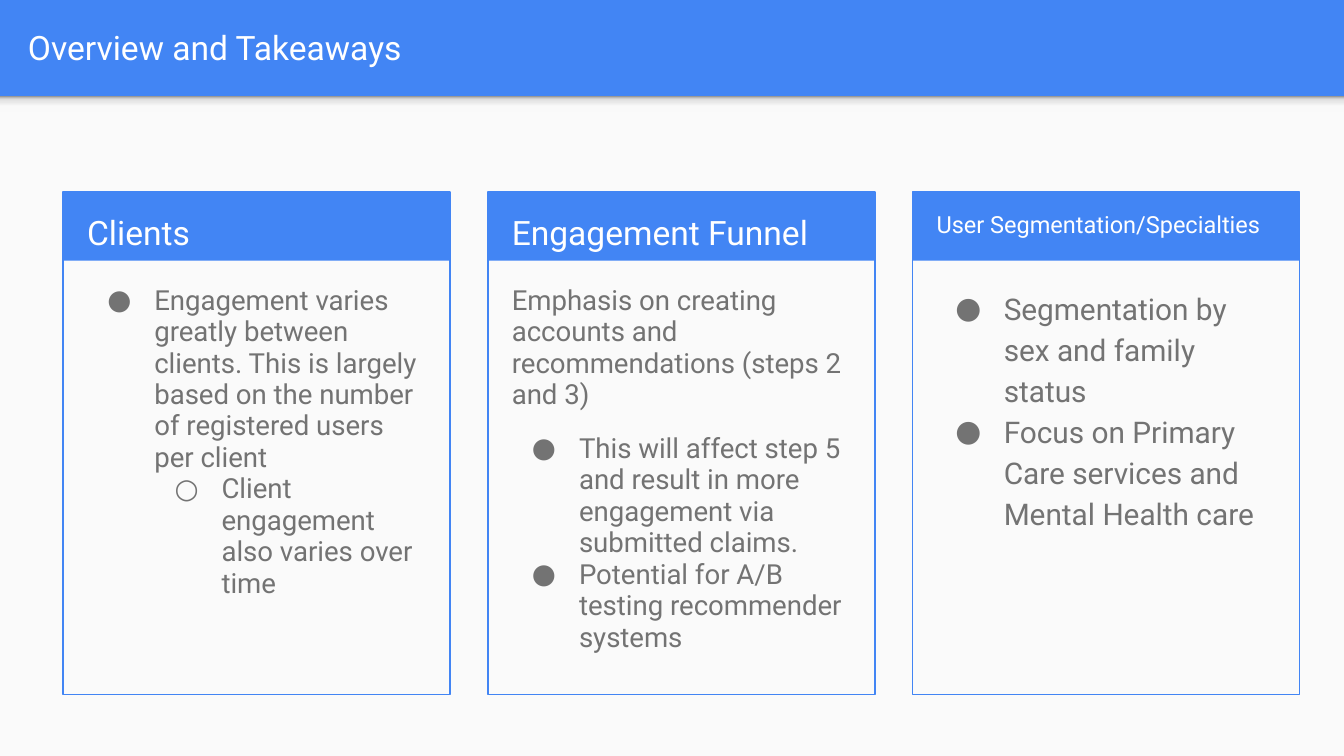
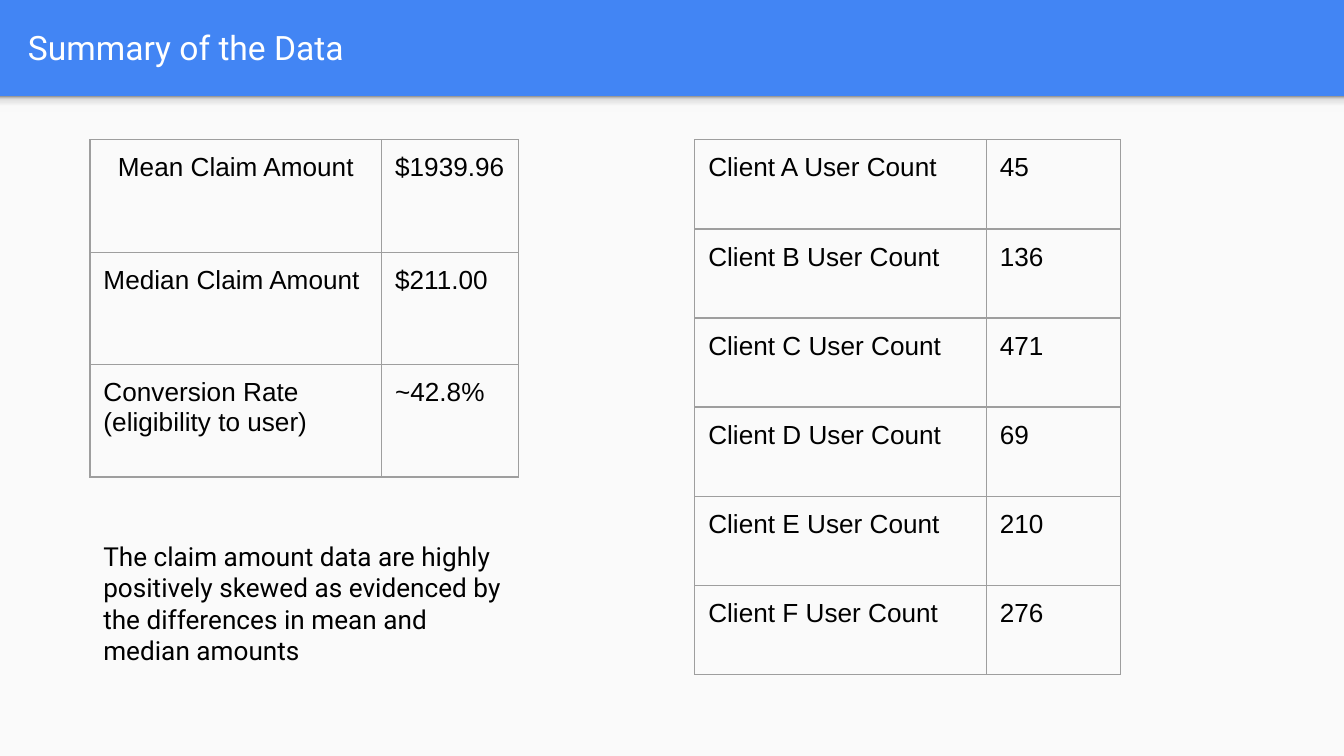
import copy

import pptx
import pptx.dml.color
import pptx.enum.shapes
import pptx.enum.text
import pptx.oxml.ns
import pptx.util
from lxml import etree

Inches = pptx.util.Inches
Pt = pptx.util.Pt
RGB = pptx.dml.color.RGBColor
Align = pptx.enum.text.PP_ALIGN
RECT = pptx.enum.shapes.MSO_SHAPE.RECTANGLE
qn = pptx.oxml.ns.qn

BLUE = RGB(0x42, 0x85, 0xF4)
PAPER = RGB(0xFA, 0xFA, 0xFA)
WHITE = RGB(0xFF, 0xFF, 0xFF)
GREY = RGB(0x73, 0x73, 0x73)
BLACK = RGB(0, 0, 0)
RULE = RGB(0x9E, 0x9E, 0x9E)
SHADE = [(0, "F9F9F9"), (0.36, "F9F9F9"), (0.8, "DEDEDE"), (1, "999999")]

WIDE = 10
HIGH = WIDE * 9 / 16
PANEL = 4.91
BAND = HIGH - PANEL
PAD = Inches(0.1)
INSETS = {"margin_" + side: PAD for side in ("left", "top", "right", "bottom")}

# Each line: text, bullet level (0 for none), space before
CARDS = [
    {"head": "Clients", "head_size": 18, "size": 14.8, "gap": 0.95, "hang": 0.35,
     "lines": [
         ("Engagement varies greatly between clients. This is largely based on "
          "the number of registered users per client", 1, 0),
         ("Client engagement also varies over time", 2, 0)]},
    {"head": "Engagement Funnel", "head_size": 18, "size": 14.8, "gap": 0.95, "hang": 0.35,
     "lines": [
         ("Emphasis on creating accounts and recommendations (steps 2 and 3)", 0, 0),
         ("This will affect step 5 and result in more engagement via submitted "
          "claims.", 1, 12),
         ("Potential for A/B testing recommender systems", 1, 0)]},
    {"head": "User Segmentation/Specialties", "head_size": 12.6, "size": 16, "gap": 1.15,
     "hang": 0.36,
     "lines": [
         ("Segmentation by sex and family status", 1, 0),
         ("Focus on Primary Care services and Mental Health care", 1, 0)]},
]
CLAIMS = [
    ("Mean Claim Amount", "$1939.96"),
    ("Median Claim Amount", "$211.00"),
    ("Conversion Rate\n(eligibility to user)", "~42.8%"),
]
COUNTS = [(f"Client {name} User Count", str(count))
          for name, count in zip("ABCDEF", (45, 136, 471, 69, 210, 276))]
NOTE = ("The claim amount data are highly positively skewed as evidenced by "
        "the differences in mean and median amounts")


def put(item, values):
    for key, value in values.items():
        setattr(item, key, value)


def style(para, size, color, face="Roboto"):
    for run in para.runs:
        put(run.font, {"size": Pt(size), "name": face})
        run.font.color.rgb = color


def dot(para, level, hang):
    """Give a paragraph a hanging bullet of the given level."""
    para.level = level - 1
    props = para._p.get_or_add_pPr()
    props.set("marL", str(Inches(0.5 * level)))
    props.set("indent", str(-Inches(hang)))
    tint = etree.SubElement(props, qn("a:buClr"))
    etree.SubElement(tint, qn("a:srgbClr"), val=str(GREY))
    etree.SubElement(props, qn("a:buFont"), typeface="Roboto")
    etree.SubElement(props, qn("a:buChar"), char="●○"[level - 1])


def rect(shapes, x, y, w, h, fill=None, line=None):
    shape = shapes.add_shape(RECT, Inches(x), Inches(y), Inches(w), Inches(h))
    shape.shadow.inherit = False
    if fill:
        shape.fill.solid()
        shape.fill.fore_color.rgb = fill
    else:
        shape.fill.background()
    if line:
        shape.line.color.rgb = line
        shape.line.width = Pt(0.75)
    else:
        shape.line.fill.background()
    return shape


def write(slide, x, y, w, h, lines, size, color, gap=None, hang=0.35):
    box = slide.shapes.add_textbox(Inches(x), Inches(y), Inches(w), Inches(h))
    frame = box.text_frame
    put(frame, {**INSETS, "word_wrap": True})
    for i, (text, level, before) in enumerate(lines):
        para = frame.add_paragraph() if i else frame.paragraphs[0]
        para.text = text
        style(para, size, color)
        put(para, {"line_spacing": gap, "space_before": Pt(before)})
        if level:
            dot(para, level, hang)
    return frame


def shade(shape):
    """Fade the shape upward through the SHADE stops."""
    shape.fill.gradient()
    shape.fill.gradient_angle = 90
    stops = shape._element.spPr.find(".//" + qn("a:gsLst"))
    first = copy.deepcopy(stops[0])
    for stop in list(stops):
        stops.remove(stop)
    for place, tint in SHADE:
        stop = copy.deepcopy(first)
        stop.set("pos", str(round(place * 100000)))
        for child in list(stop):
            stop.remove(child)
        etree.SubElement(stop, qn("a:srgbClr"), val=tint)
        stops.append(stop)


def page(deck, title):
    slide = deck.slides.add_slide(deck.slide_layouts[6])
    slide.background.fill.solid()
    slide.background.fill.fore_color.rgb = BLUE
    rect(slide.shapes, 0, BAND, WIDE, PANEL, PAPER)
    shade(rect(slide.shapes, 0, BAND, WIDE, 0.12))
    frame = write(slide, 0.11, 0.02, 9.65, 0.66, [(title, 0, 0)], 18, WHITE)
    frame.vertical_anchor = pptx.enum.text.MSO_ANCHOR.MIDDLE
    return slide


def card(slide, x, data):
    top, wide = 1.43, 2.88
    group = slide.shapes.add_group_shape()
    rect(group.shapes, x, top, wide, 0.51, BLUE)
    rect(group.shapes, x, top, wide, 3.74, line=BLUE)
    left = x + 0.08
    write(slide, left, top, 2.73, 0.5, [(data["head"], 0, 0)],
          data["head_size"], WHITE, 1.15)
    write(slide, left, 2.02, 2.71, 3.06, data["lines"],
          data["size"], GREY, data["gap"], data["hang"])


def edge(cell):
    """Rule all four sides of a table cell."""
    props = cell._tc.get_or_add_tcPr()
    for side in "LRTB":
        line = etree.SubElement(props, qn("a:ln" + side), w=str(Pt(0.75)))
        fill = etree.SubElement(line, qn("a:solidFill"))
        etree.SubElement(fill, qn("a:srgbClr"), val=str(RULE))


def grid(slide, x, y, rows, widths, tall):
    table = slide.shapes.add_table(
        len(rows), len(widths), Inches(x), Inches(y),
        Inches(sum(widths)), Inches(tall)).table
    put(table, {"first_row": False, "horz_banding": False})
    for col, width in zip(table.columns, widths):
        col.width = Inches(width)
    for r, row in enumerate(rows):
        table.rows[r].height = Inches(tall / len(rows))
        for c, text in enumerate(row):
            cell = table.cell(r, c)
            cell.text = text
            put(cell, INSETS)
            edge(cell)
            cell.fill.background()
            for para in cell.text_frame.paragraphs:
                style(para, 14, BLACK, "Arial")
    return table


def main():
    deck = pptx.Presentation()
    put(deck, {"slide_width": Inches(WIDE), "slide_height": Inches(HIGH)})

    slide = page(deck, "Overview and Takeaways")
    for i, data in enumerate(CARDS):
        card(slide, 0.47 + 3.16 * i, data)

    slide = page(deck, "Summary of the Data")
    claims = grid(slide, 0.67, 1.04, CLAIMS, (2.17, 1.02), 2.51)
    claims.cell(0, 0).text_frame.paragraphs[0].alignment = Align.CENTER
    grid(slide, 5.17, 1.04, COUNTS, (2.17, 1), 3.98)
    write(slide, 0.67, 3.92, 3.18, 1.14, [(NOTE, 0, 0)], 14, BLACK)

    deck.save("out.pptx")


if __name__ == "__main__":
    main()
